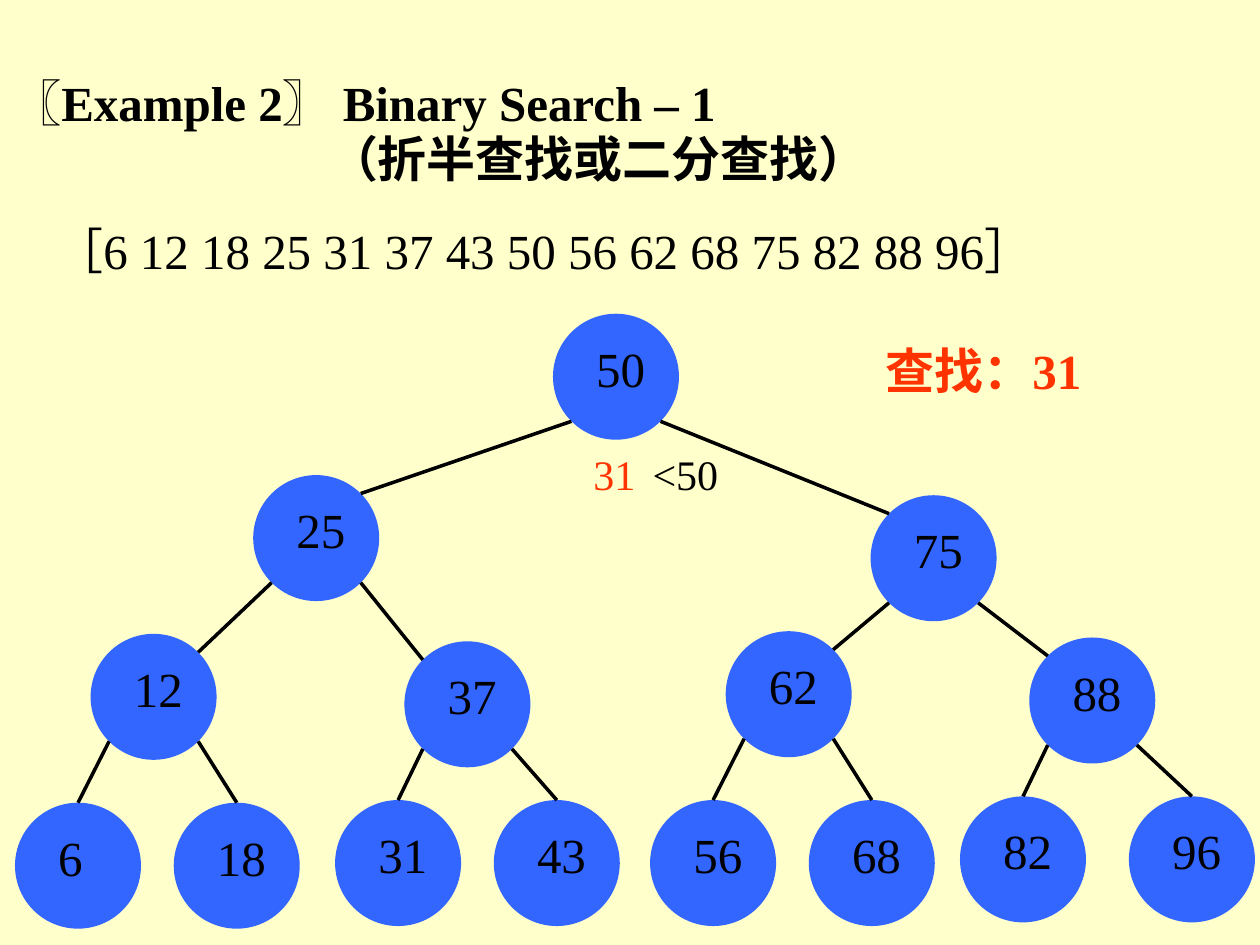
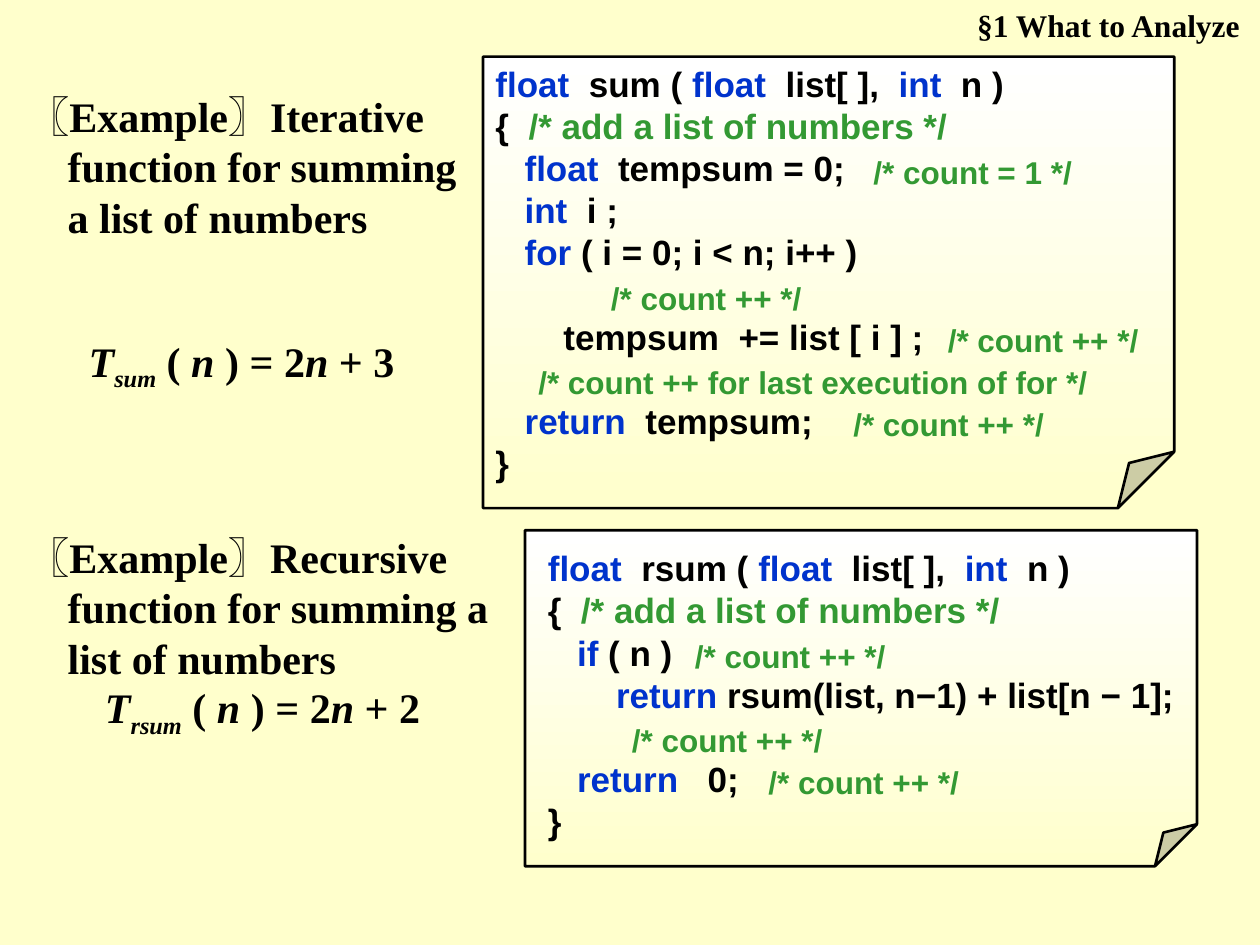
from pptx import Presentation
from pptx.dml.color import RGBColor as Rgb
from pptx.enum.shapes import MSO_CONNECTOR as Conn, MSO_SHAPE as Kind
from pptx.enum.text import MSO_ANCHOR as Anchor, PP_ALIGN as Align
from pptx.util import Pt
from lxml.etree import SubElement as Sub
from pptx.oxml.ns import qn

HUES = {"page": "FFFFCC", "ink": "000000", "node": "3366FF", "alert": "FF3300",
        "word": "0033CC", "note": "339933", "white": "FFFFFF"}
SERIF, SANS = "Times New Roman", "Arial"
ROW = 24
SIZE = 72
EDGE = SIZE * (1 - 0.5 ** 0.5) / 2

TREE = [(50, 307.4, 0),
        (25, 136.1, 92.2), (75, 488.9, 103.7),
        (12, 43.2, 182.9), (37, 222.5, 187.2), (62, 406.1, 181.4), (88, 579.6, 185),
        (6, 0, 279.4), (18, 90.7, 279.4), (31, 182.9, 277.9), (43, 273.6, 277.9),
        (56, 362.9, 277.9), (68, 453.6, 277.9), (82, 540, 275.8), (96, 636.5, 275.8)]

HEAD = "|float|  {} ( |float|  list[ ],  |int|  n )"
OPEN = "{  |/* add a list of numbers */|"
COUNT = "/* count ++ */"
SUM = [HEAD.format("sum"), OPEN, "   |float|  tempsum = 0;", "   |int|  i ;",
       "   |for| ( i = 0; i < n; i++ )", "", "       tempsum  += list [ i ] ;", "",
       "   |return|  tempsum;", "}"]
SUM_NOTES = [(2, 216, "/* count = 1 */"), (5, 66, COUNT), (6, 258.5, COUNT),
             (7, 24.5, "/* count ++ for last execution of for */"), (8, 204.5, COUNT)]
RSUM = [HEAD.format("rsum"), OPEN, "   |if| ( n )",
        "       |return| rsum(list, n−1) + list[n − 1];", "", "   |return|   0;", "}"]
RSUM_NOTES = [(2, 84, COUNT), (4, 48, COUNT), (5, 126, COUNT)]


def tint(name):
    """Return the named colour."""
    return Rgb.from_string(HUES[name])


def style(para, size, hue="ink", face=SERIF, bold=False, lead=1.2):
    """Set the font and line height of a paragraph."""
    font = para.font
    font.size, font.name, font.bold = Pt(size), face, bold
    if hue:
        font.color.rgb = tint(hue)
    para.line_spacing = Pt(round(size * lead, 2))


def frame(slide, box):
    """Add a wrapping text box and return its frame."""
    text = slide.shapes.add_textbox(*map(Pt, box)).text_frame
    text.word_wrap = True
    return text


def label(slide, box, words, size, **look):
    """Add a one-paragraph text box and return the paragraph."""
    para = frame(slide, box).paragraphs[0]
    para.text = words
    style(para, size, **look)
    return para


def indent(para, left, first=0):
    """Set the left margin and first-line indent of a paragraph."""
    props = para._p.get_or_add_pPr()
    props.set("marL", str(Pt(left)))
    props.set("indent", str(Pt(first)))


def title(slide, box, top, sub):
    """Draw a two-line title that rests on the foot of its box."""
    text = frame(slide, box)
    text.vertical_anchor = Anchor.BOTTOM
    text.text = f"{top}\n{sub}"
    for para in text.paragraphs:
        style(para, 28, bold=True, lead=1.15)
    indent(text.paragraphs[1], 181)


def link(slide, start, end):
    """Draw a plain black line."""
    line = slide.shapes.add_connector(Conn.STRAIGHT, *map(Pt, start + end))
    line.line.color.rgb, line.line.width = tint("ink"), Pt(2)
    Sub(line._element.spPr, qn("a:effectLst"))


def node(slide, left, top, key):
    """Draw one round tree node."""
    ball = slide.shapes.add_shape(Kind.OVAL, Pt(left), Pt(top), Pt(SIZE), Pt(SIZE))
    ball.shadow.inherit = False
    ball.fill.solid()
    ball.fill.fore_color.rgb = tint("node")
    ball.line.fill.background()
    text = ball.text_frame
    text.vertical_anchor = Anchor.TOP
    text.margin_left, text.margin_right = Pt(14.2), 0
    para = text.paragraphs[0]
    para.text, para.alignment = str(key), Align.LEFT
    style(para, 28)


def tree(slide, left, top, nodes):
    """Draw a full binary tree listed level by level."""
    spots = [(left + x, top + y) for _, x, y in nodes]
    for (x, y), (key, _, _) in zip(spots, nodes):
        node(slide, x, y, key)
    far = SIZE - EDGE
    for kid in range(1, len(nodes)):
        px, py = spots[(kid - 1) // 2]
        x, y = spots[kid]
        out, near = (EDGE, far) if kid % 2 else (far, EDGE)
        leaf = 2 * kid + 1 >= len(nodes)
        end = (x + SIZE / 2, y) if leaf else (x + near, y + EDGE)
        link(slide, (px + out, py + far), end)


def search(slide):
    """Build the binary search slide."""
    title(slide, (0, 60.5, 612, 50.4), "〖Example 2〗 Binary Search – 1", "（折半查找或二分查找）")
    tree(slide, 8.6, 179.3, TREE)
    keys = " ".join(map(str, sorted(key for key, _, _ in TREE)))
    label(slide, (24, 122.4, 640, 41), f"［{keys}］", 28)
    label(slide, (499, 190.8, 160, 41), "查找：31", 28, hue="alert", bold=True)
    label(slide, (332, 252.7, 45, 36), "31", 24, hue="alert")
    label(slide, (365.8, 252.7, 60, 36), "<50", 24)


def sheet(slide, box):
    """Draw a folded sheet with a soft gradient."""
    card = slide.shapes.add_shape(Kind.FOLDED_CORNER, *map(Pt, box))
    card.shadow.inherit = False
    fold = card._element.spPr.find(qn("a:prstGeom")).find(qn("a:avLst"))
    Sub(fold, qn("a:gd"), name="adj", fmla="val 12500")
    card.fill.gradient()
    card.fill.gradient_angle = 270
    for stop, hue, spot in zip(card.fill.gradient_stops, ("white", "page"), (0, 1)):
        stop.color.rgb, stop.position = tint(hue), spot
    card.line.color.rgb, card.line.width = tint("ink"), Pt(1.5)


def code(slide, box, lines, notes):
    """Set code with marked words coloured, and place notes on its rows."""
    left, top, _, _ = box
    text = frame(slide, box)
    para, gap = text.paragraphs[0], 0
    for spot, line in enumerate(lines):
        if not line:
            gap += ROW
            continue
        if spot:
            para = text.add_paragraph()
            para.space_before = Pt(gap)
        gap = 0
        style(para, 20, hue=None, face=SANS, bold=True)
        for turn, part in enumerate(line.split("|")):
            if part:
                run = para.add_run()
                run.text = part
                mark = "note" if part.startswith("/*") else "word"
                run.font.color.rgb = tint(mark if turn % 2 else "ink")
    for row, x, words in notes:
        wide = 348 if len(words) > 20 else 132
        label(slide, (left + x, top + row * ROW + 3.7, wide, 28.8), words, 18,
              hue="note", face=SANS, bold=True)


def cost(slide, left, top, name, rest):
    """Write the running time of a function as a formula."""
    para = frame(slide, (left, top, 228, 40)).paragraphs[0]
    para.alignment = Align.CENTER
    style(para, 24, bold=True)
    parts = [("T", True), (name, True), (" (", False), (" n", True),
             (" ) = 2", False), ("n", True), (f" + {rest}", False)]
    for words, slant in parts:
        run = para.add_run()
        run.text, run.font.italic = words, slant
        if words == name:
            run._r.get_or_add_rPr().set("baseline", "-25000")


def topic(slide, box, kind):
    """Introduce an example with a hanging indent."""
    words = f"〖Example〗{kind} function for summing a list of numbers"
    indent(label(slide, box, words, 24, bold=True), 23, -23)


def count(slide):
    """Build the step counting slide."""
    topic(slide, (8.6, 48.2, 273.6, 93.6), "Iterative")
    sheet(slide, (276, 32.4, 395, 258))
    code(slide, (276, 32.4, 408, 248), SUM, SUM_NOTES)
    cost(slide, 24, 192, "sum", 3)
    topic(slide, (8.6, 300.2, 306, 93.6), "Recursive")
    sheet(slide, (300, 303, 384, 192))
    code(slide, (306, 309, 390, 176), RSUM, RSUM_NOTES)
    cost(slide, 36, 390, "rsum", 2)
    label(slide, (516, 0, 199.6, 28.8), "§1 What to Analyze", 18,
          bold=True).alignment = Align.RIGHT


def main():
    """Build and save the two slides."""
    deck = Presentation()
    deck.slide_width, deck.slide_height = Pt(720), Pt(540)
    back = deck.slide_master.background.fill
    back.solid()
    back.fore_color.rgb = tint("page")
    for build in (search, count):
        build(deck.slides.add_slide(deck.slide_layouts[6]))
    deck.save("out.pptx")


if __name__ == "__main__":
    main()
